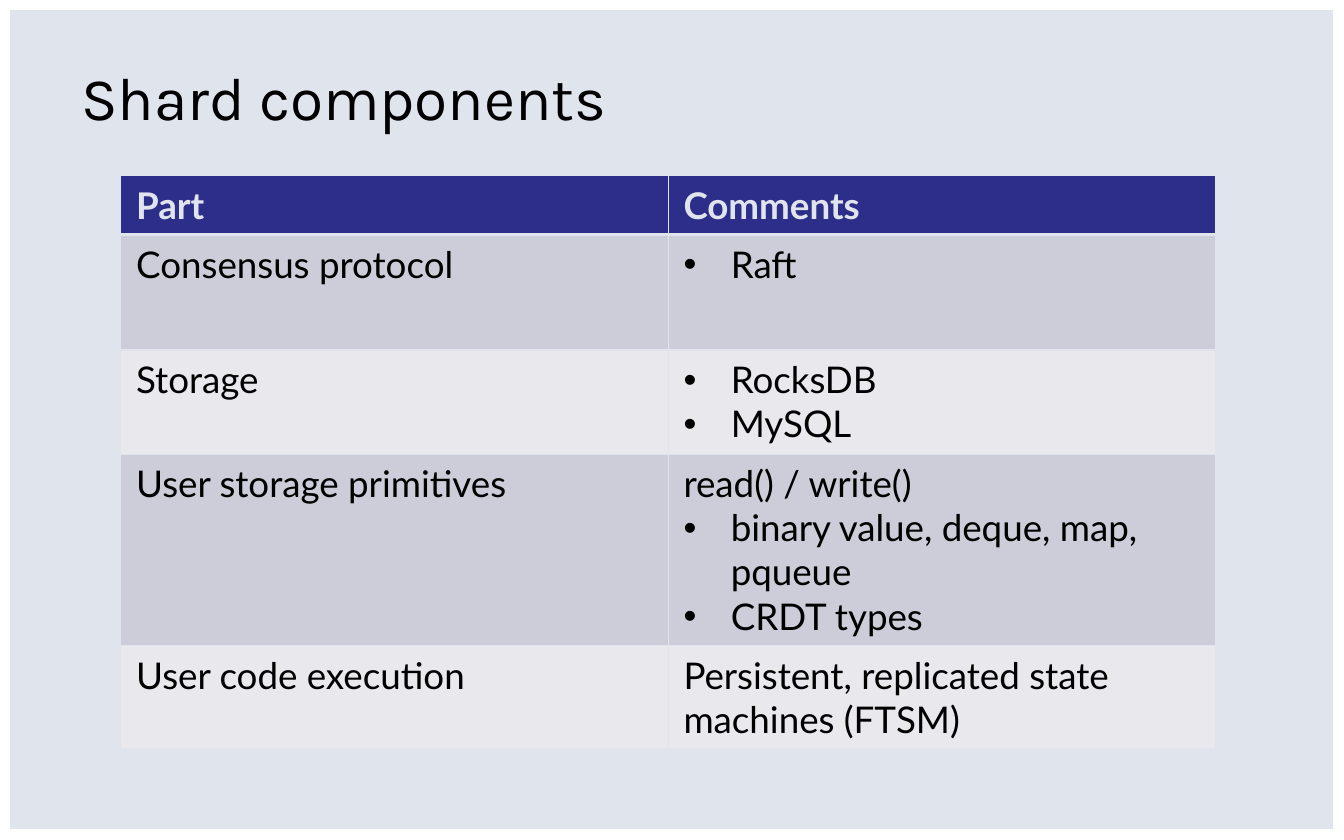
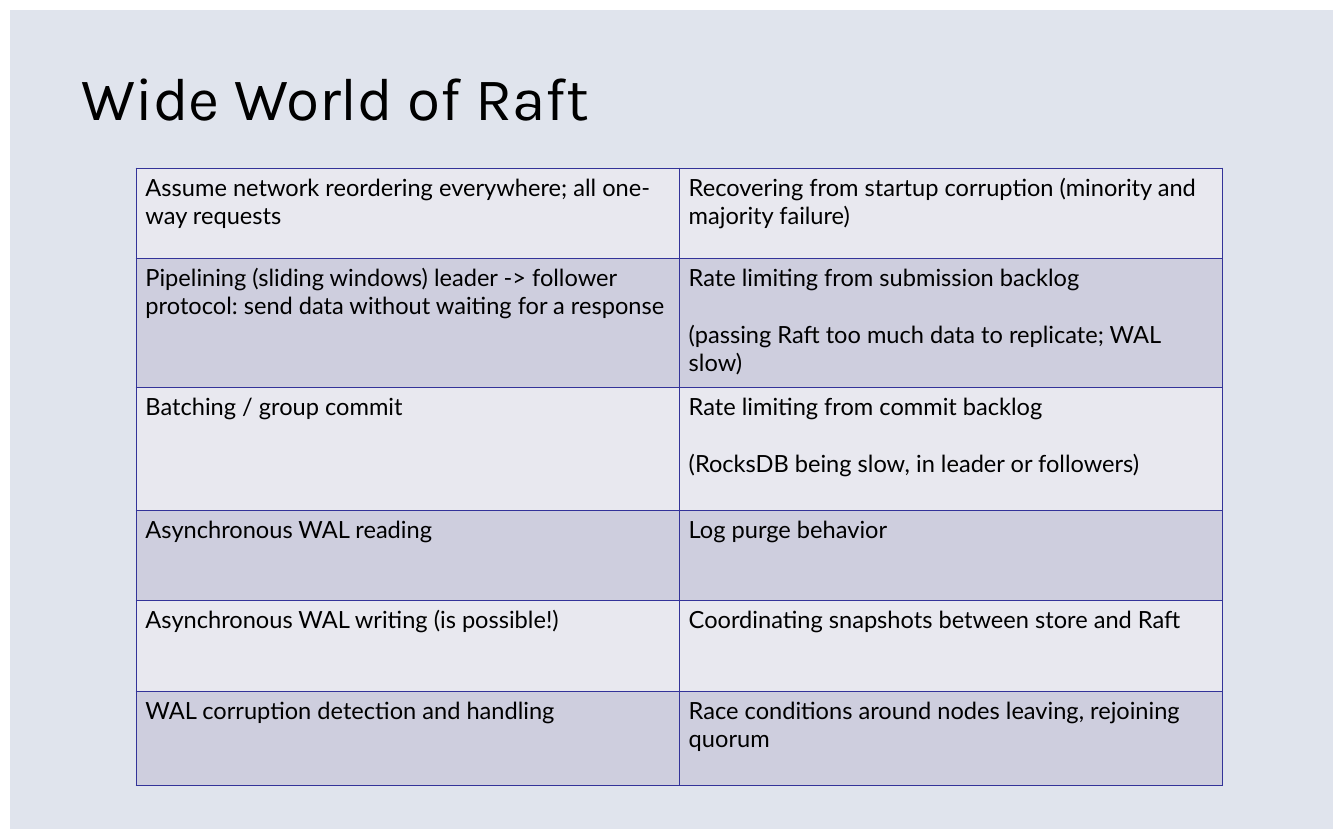
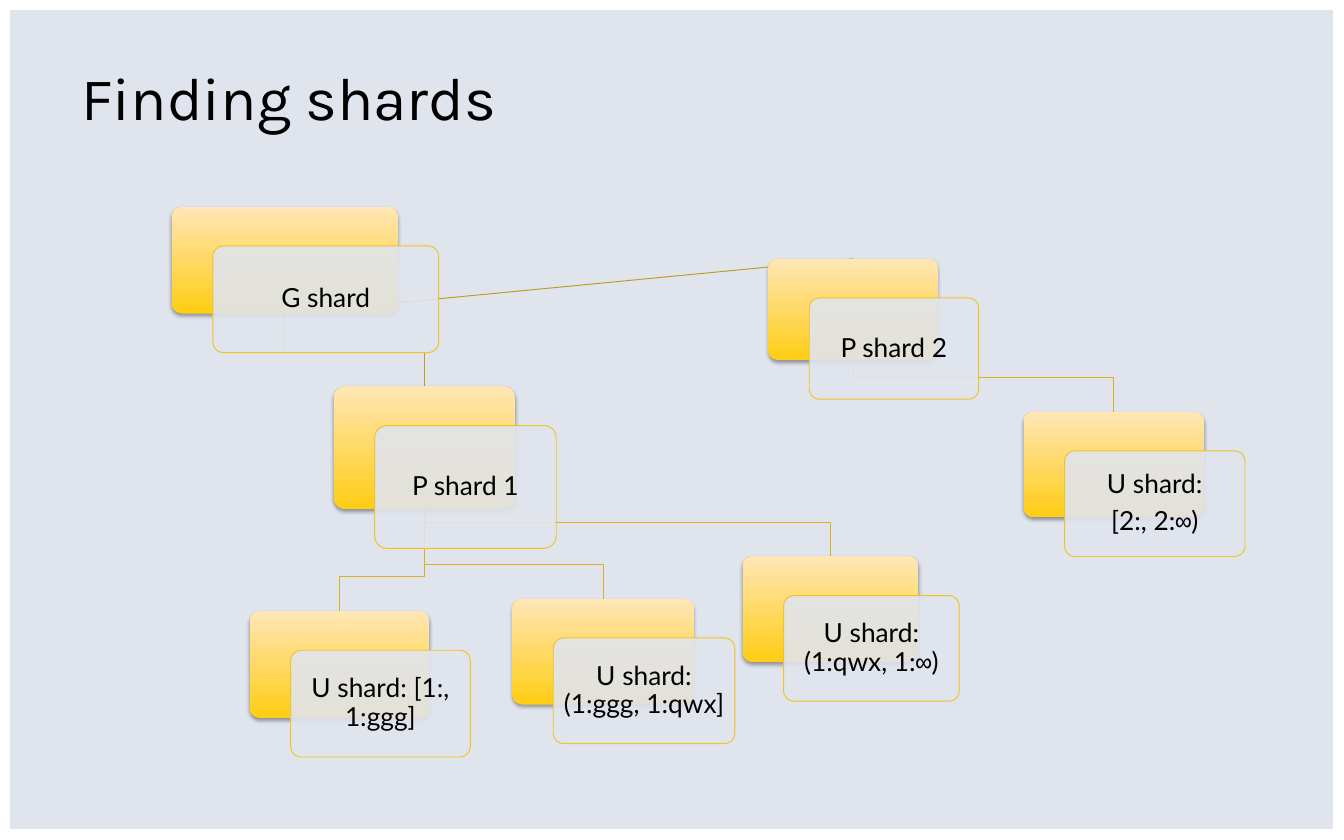
"""Build three slides on shards and Raft: two tables and a shard tree."""
from dataclasses import dataclass

from lxml import etree
from pptx import Presentation
from pptx.dml.color import RGBColor
from pptx.enum.shapes import MSO_CONNECTOR, MSO_SHAPE
from pptx.enum.text import MSO_ANCHOR, PP_ALIGN
from pptx.oxml import parse_xml
from pptx.oxml.ns import nsdecls, qn
from pptx.util import Cm, Pt

RECT = MSO_SHAPE.RECTANGLE
ROUND = MSO_SHAPE.ROUNDED_RECTANGLE
STRAIGHT = MSO_CONNECTOR.STRAIGHT
MIDDLE = MSO_ANCHOR.MIDDLE
LEFT = PP_ALIGN.LEFT
CENTER = PP_ALIGN.CENTER

COLORS = {
    "back": "E0E4ED", "white": "FFFFFF", "text": "000000",
    "head": "2D2D8A", "dark": "CDCDDA", "pale": "E8E8ED",
    "grid": "333399", "odd": "E8E8EF", "even": "CECEDE",
    "gold": "FFCD14", "cream": "FFE6B6", "edge": "F0C423",
    "root": "C09D1C", "branch": "DAB220",
}
FONT = "Lato"
TITLE_FONT = "Karla"
SIGN_FONT = "Courier New"
SIGN = "∞"
WIDE, HIGH = 36.12, 22.58
SHIFT_X, SHIFT_Y = 1.1, 1.05
BEND = 0.92


@dataclass(frozen=True)
class Line:
    text: str
    bullet: bool = False
    before: float = 0


@dataclass(frozen=True)
class Grid:
    x: float
    y: float
    col: float
    rows: list[float]
    cells: list[tuple[list[Line], list[Line]]]
    size: float
    pad: tuple[float, float]
    bands: tuple[str, str]
    border: str
    head: bool


@dataclass(frozen=True)
class Card:
    name: str
    boss: str
    x: float
    y: float
    w: float
    h: float
    lines: tuple[str, ...]

    @property
    def mid(self) -> float:
        return self.x + self.w / 2

    @property
    def base(self) -> float:
        return self.y + self.h


PARTS = Grid(
    3.25, 4.72, 14.71, [1.57, 3.1, 2.8, 5.1, 2.75],
    [
        ([Line("Part")], [Line("Comments")]),
        ([Line("Consensus protocol")], [Line("Raft", True)]),
        ([Line("Storage")], [Line("RocksDB", True), Line("MySQL", True)]),
        ([Line("User storage primitives")],
         [Line("read() / write()"),
          Line("binary value, deque, map, pqueue", True),
          Line("CRDT types", True)]),
        ([Line("User code execution")],
         [Line("Persistent, replicated state machines (FTSM)")]),
    ],
    28, (0.41, 0.2), ("pale", "dark"), "back", True,
)

RAFT = Grid(
    3.66, 4.52, 14.6, [2.42, 3.48, 3.3, 2.42, 2.44, 2.54],
    [
        ([Line("Assume network reordering everywhere; all one-way requests")],
         [Line("Recovering from startup corruption (minority and majority failure)")]),
        ([Line("Pipelining (sliding windows) leader -> follower protocol: "
               "send data without waiting for a response")],
         [Line("Rate limiting from submission backlog"),
          Line("(passing Raft too much data to replicate; WAL slow)", before=21.6)]),
        ([Line("Batching / group commit")],
         [Line("Rate limiting from commit backlog"),
          Line("(RocksDB being slow, in leader or followers)", before=21.6)]),
        ([Line("Asynchronous WAL reading")], [Line("Log purge behavior")]),
        ([Line("Asynchronous WAL writing (is possible!)")],
         [Line("Coordinating snapshots between store and Raft")]),
        ([Line("WAL corruption detection and handling")],
         [Line("Race conditions around nodes leaving, rejoining quorum")]),
    ],
    18, (0.25, 0.13), ("odd", "even"), "grid", False,
)

CARDS = [
    Card("G", "", 4.62, 5.56, 6.07, 2.87, ("G shard",)),
    Card("P1", "G", 8.97, 10.39, 4.88, 3.3, ("P shard 1",)),
    Card("U1", "P1", 6.71, 16.43, 4.83, 2.87, ("U shard: [1:, 1:ggg]",)),
    Card("U2", "P1", 13.77, 16.1, 4.88, 2.84, ("U shard: (1:ggg, 1:qwx]",)),
    Card("U3", "P1", 19.96, 14.96, 4.72, 2.84, ("U shard: (1:qwx, 1:∞)",)),
    Card("P2", "G", 20.65, 6.96, 4.55, 2.72, ("P shard 2",)),
    Card("U4", "P2", 27.51, 11.07, 4.85, 2.84, ("U shard:", "[2:, 2:∞)")),
]


def rgb(key: str) -> RGBColor:
    return RGBColor.from_string(COLORS[key])


def style(run, size: float, key: str = "text", font: str = FONT, bold: bool = False) -> None:
    run.font.name = font
    run.font.size = Pt(size)
    run.font.bold = bold
    run.font.color.rgb = rgb(key)


def set_pads(frame, side: float, top: float) -> None:
    frame.margin_left = frame.margin_right = Cm(side)
    frame.margin_top = frame.margin_bottom = Cm(top)


def add_frame(slide, layout) -> None:
    frame = slide.shapes.add_shape(RECT, 0, 0, Cm(WIDE), Cm(HIGH))
    frame.shadow.inherit = False
    frame.fill.solid()
    frame.fill.fore_color.rgb = rgb("back")
    frame.line.color.rgb = rgb("white")
    frame.line.width = Pt(16)
    layout.shapes._spTree.insert(2, frame._element)


def set_layout(layout) -> None:
    layout.background.fill.solid()
    layout.background.fill.fore_color.rgb = rgb("back")
    title = layout.placeholders[0]
    title.left, title.top = Cm(2.18), Cm(1.8)
    title.width, title.height = Cm(31.72), Cm(1.83)


def add_slide(deck, layout, text: str):
    slide = deck.slides.add_slide(layout)
    frame = slide.shapes.title.text_frame
    frame.text = text
    frame.word_wrap = True
    frame.vertical_anchor = MIDDLE
    set_pads(frame, 0, 0)
    para = frame.paragraphs[0]
    para.alignment = LEFT
    para.line_spacing = 0.9
    style(para.runs[0], 46, font=TITLE_FONT)
    return slide


def add_bullet(para) -> None:
    props = para._p.get_or_add_pPr()
    indent = Cm(1.27)
    props.set("marL", str(indent))
    props.set("indent", str(-indent))
    etree.SubElement(props, qn("a:buFont")).set("typeface", "Arial")
    etree.SubElement(props, qn("a:buChar")).set("char", "•")


def set_cell(cell, lines: list[Line], grid: Grid, row: int) -> None:
    head = grid.head and row == 0
    props = cell._tc.get_or_add_tcPr()
    for side in "LRTB":
        thick = 3 if grid.head and (row, side) in ((0, "B"), (1, "T")) else 1
        props.append(parse_xml(
            f'<a:ln{side} {nsdecls("a")} w="{Pt(thick)}"><a:solidFill>'
            f'<a:srgbClr val="{COLORS[grid.border]}"/></a:solidFill></a:ln{side}>'))
    cell.fill.solid()
    cell.fill.fore_color.rgb = rgb("head" if head else grid.bands[row % 2])
    set_pads(cell, *grid.pad)
    frame = cell.text_frame
    frame.text = "\n".join(line.text for line in lines)
    for para, line in zip(frame.paragraphs, lines):
        if line.before:
            para.space_before = Pt(line.before)
        if line.bullet:
            add_bullet(para)
        style(para.runs[0], grid.size, "back" if head else "text", bold=head)


def add_grid(slide, grid: Grid) -> None:
    table = slide.shapes.add_table(
        len(grid.rows), 2, Cm(grid.x), Cm(grid.y),
        Cm(2 * grid.col), Cm(sum(grid.rows))).table
    table.first_row = grid.head
    table.horz_banding = False
    for col in table.columns:
        col.width = Cm(grid.col)
    for row, (high, pair) in enumerate(zip(grid.rows, grid.cells)):
        table.rows[row].height = Cm(high)
        for col, lines in enumerate(pair):
            set_cell(table.cell(row, col), lines, grid, row)


def add_branch(slide, boss: Card, card: Card) -> None:
    turn = card.y - BEND
    pen = slide.shapes.build_freeform(Cm(boss.mid), Cm(boss.base))
    ends = [(boss.mid, turn), (card.mid, turn), (card.mid, card.y)]
    pen.add_line_segments([(Cm(x), Cm(y)) for x, y in ends], close=False)
    branch = pen.convert_to_shape()
    branch.shadow.inherit = False
    branch.fill.background()
    branch.line.color.rgb = rgb("branch" if boss.boss else "root")
    branch.line.width = Pt(0.75)


def add_link(slide, start, end) -> None:
    link = slide.shapes.add_connector(STRAIGHT, 0, 0, 0, 0)
    link.begin_connect(start, 2)
    link.end_connect(end, 0)
    link.line.color.rgb = rgb("root")
    link.line.width = Pt(0.75)
    etree.SubElement(link._element.spPr, qn("a:effectLst"))
    slide.shapes._spTree.insert(2, link._element)


def add_box(slide, card: Card, dx: float = 0, dy: float = 0):
    box = slide.shapes.add_shape(
        ROUND, Cm(card.x + dx), Cm(card.y + dy), Cm(card.w), Cm(card.h))
    box.adjustments[0] = 0.1
    box.shadow.inherit = False
    return box


def add_back(slide, card: Card):
    box = add_box(slide, card)
    box.fill.gradient()
    box.fill.gradient_angle = 90
    for stop, key in zip(box.fill.gradient_stops, ("gold", "cream")):
        stop.color.rgb = rgb(key)
    box.line.fill.background()
    glow = box._element.spPr.find(qn("a:effectLst"))
    glow.append(parse_xml(
        f'<a:outerShdw {nsdecls("a")} blurRad="{Pt(3.1)}" dist="{Pt(1.8)}" '
        f'dir="5400000" rotWithShape="0"><a:srgbClr val="{COLORS["text"]}">'
        '<a:alpha val="35000"/></a:srgbClr></a:outerShdw>'))
    return box


def add_front(slide, card: Card) -> None:
    box = add_box(slide, card, SHIFT_X, SHIFT_Y)
    box.fill.solid()
    box.fill.fore_color.rgb = rgb("back")
    tint = box._element.spPr.find(qn("a:solidFill"))[0]
    etree.SubElement(tint, qn("a:alpha")).set("val", "90000")
    box.line.color.rgb = rgb("edge")
    box.line.width = Pt(0.75)
    frame = box.text_frame
    frame.word_wrap = True
    frame.vertical_anchor = MIDDLE
    set_pads(frame, 0.2, 0.2)
    for row, line in enumerate(card.lines):
        para = frame.add_paragraph() if row else frame.paragraphs[0]
        para.alignment = CENTER
        para.line_spacing = 0.9
        if row:
            para.space_before = Pt(7)
        for part in filter(None, line.partition(SIGN)):
            run = para.add_run()
            run.text = part
            style(run, 20, font=SIGN_FONT if part == SIGN else FONT)


def add_tree(slide) -> None:
    names = {card.name: card for card in CARDS}
    for card in CARDS:
        if card.boss and card.name != "P2":
            add_branch(slide, names[card.boss], card)
    backs = {}
    for card in CARDS:
        backs[card.name] = add_back(slide, card)
        add_front(slide, card)
    add_link(slide, backs["G"], backs["P2"])


def main() -> None:
    deck = Presentation()
    deck.slide_width, deck.slide_height = Cm(WIDE), Cm(HIGH)
    layout = deck.slide_layouts[5]
    set_layout(layout)
    parts = add_slide(deck, layout, "Shard components")
    add_frame(parts, layout)
    add_grid(parts, PARTS)
    add_grid(add_slide(deck, layout, "Wide World of Raft"), RAFT)
    add_tree(add_slide(deck, layout, "Finding shards"))
    deck.save("out.pptx")


if __name__ == "__main__":
    main()
